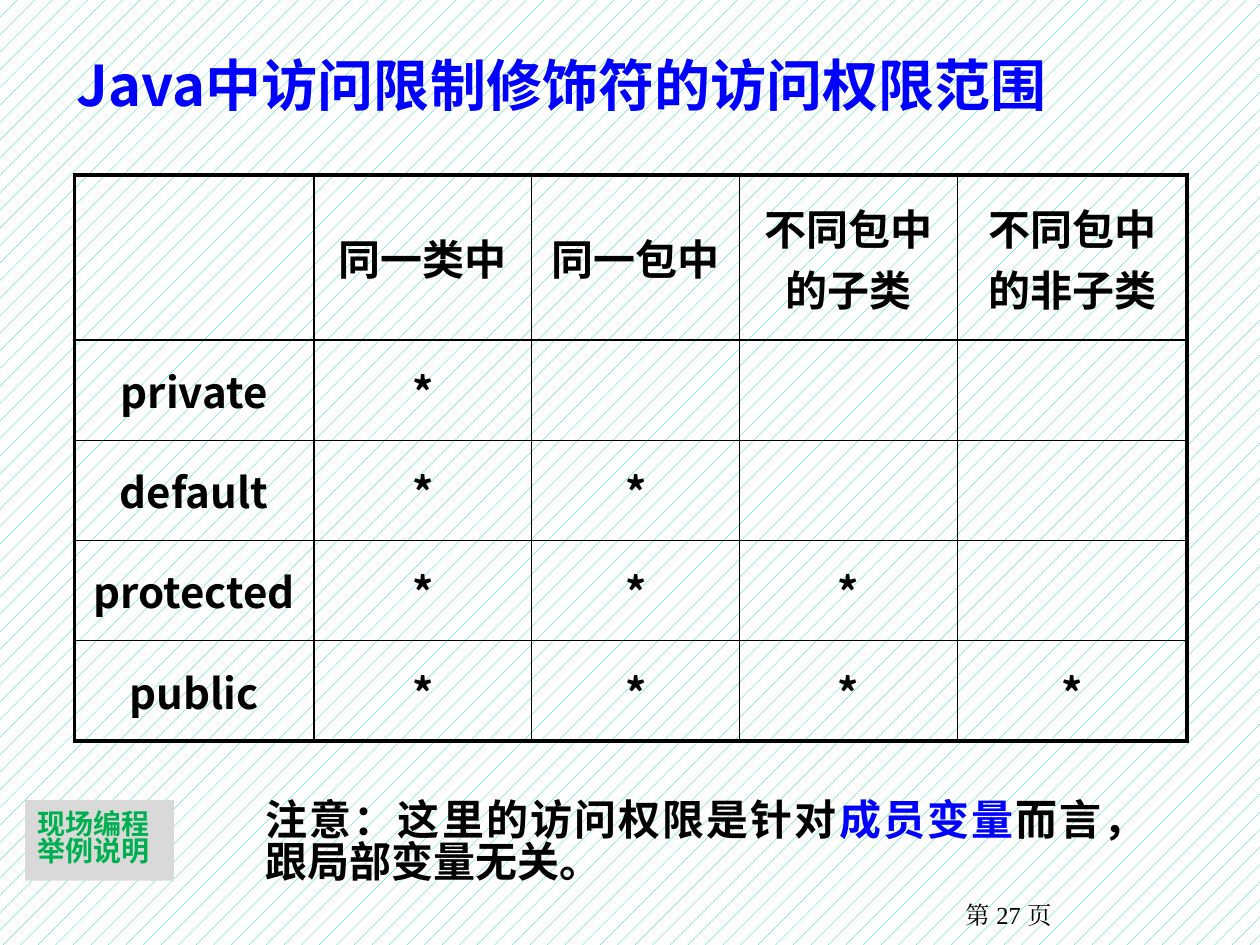
from lxml import etree
from pptx import Presentation, util as u
from pptx.dml.color import RGBColor
from pptx.enum import dml, shapes, text
from pptx.oxml import ns

BLACK = RGBColor(0, 0, 0)
BLUE = RGBColor(0, 0, 255)
GREEN = RGBColor(0x00, 0xB0, 0x50)
GREY = RGBColor(0xD9, 0xD9, 0xD9)
TEAL = RGBColor(0x00, 0xCC, 0x99)
WHITE = RGBColor(255, 255, 255)

SANS = "Noto Sans CJK SC"
SERIF = "Times New Roman"

COLUMN_WIDTHS = (1.9, 1.73, 1.65, 1.73, 1.82)
HEADER_HEIGHT, ROW_HEIGHT = 1.31, 0.795
HEADINGS = ("", "同一类中", "同一包中", "不同包中的子类", "不同包中的非子类")
MODIFIERS = ("private", "default", "protected", "public")
OUTER_LINE, INNER_LINE = 2.25, 1


def inches(*lengths):
    return [u.Inches(length) for length in lengths]


def write_text(frame, paragraphs, size=24, color=BLACK, font=SANS, bold=True,
               align=text.PP_ALIGN.LEFT, spacing=None):
    """Fill a frame with paragraphs, each a list of (text, color or None) runs."""
    frame.word_wrap = True
    frame.vertical_anchor = text.MSO_ANCHOR.MIDDLE
    for index, runs in enumerate(paragraphs):
        paragraph = frame.add_paragraph() if index else frame.paragraphs[0]
        paragraph.alignment = align
        paragraph.line_spacing = spacing
        for words, run_color in runs:
            run = paragraph.add_run()
            run.text = words
            run.font.size = u.Pt(size)
            run.font.bold = bold
            run.font.name = font
            run.font.color.rgb = run_color or color
            east_asian = etree.SubElement(run.font._element, ns.qn("a:ea"))
            east_asian.set("typeface", font)


def add_text_box(slide, box, paragraphs, **text_format):
    shape = slide.shapes.add_textbox(*inches(*box))
    write_text(shape.text_frame, paragraphs, **text_format)


def set_title(slide, box, words, **text_format):
    title = slide.shapes.title
    title.left, title.top, title.width, title.height = inches(*box)
    write_text(title.text_frame, [[(words, None)]], **text_format)


def add_label(slide, box, lines, **text_format):
    label = slide.shapes.add_shape(shapes.MSO_SHAPE.RECTANGLE, *inches(*box))
    label.shadow.inherit = False
    label.fill.solid()
    label.fill.fore_color.rgb = GREY
    label.line.fill.background()
    write_text(label.text_frame, [[(line, None)] for line in lines], **text_format)


def set_borders(cell, widths):
    """Draw the left, right, top and bottom borders, in points."""
    properties = cell._tc.get_or_add_tcPr()
    for index, (side, width) in enumerate(zip("LRTB", widths)):
        line = etree.Element(ns.qn(f"a:ln{side}"), w=str(u.Pt(width)))
        fill = etree.SubElement(line, ns.qn("a:solidFill"))
        etree.SubElement(fill, ns.qn("a:srgbClr"), val=str(BLACK))
        properties.insert(index, line)


def add_access_table(slide, left, top):
    # Each modifier reaches one scope more than the one before it.
    rows = [HEADINGS]
    for reach, modifier in enumerate(MODIFIERS, 1):
        rows.append([modifier] + ["*"] * reach + [""] * (len(MODIFIERS) - reach))
    heights = [HEADER_HEIGHT] + [ROW_HEIGHT] * len(MODIFIERS)
    last_row, last_column = len(rows) - 1, len(HEADINGS) - 1

    table = slide.shapes.add_table(
        len(rows), len(HEADINGS),
        *inches(left, top, sum(COLUMN_WIDTHS), sum(heights))).table
    table.first_row = table.horz_banding = False
    for column, width in zip(table.columns, COLUMN_WIDTHS):
        column.width = u.Inches(width)
    for r, (row, height) in enumerate(zip(rows, heights)):
        table.rows[r].height = u.Inches(height)
        for c, words in enumerate(row):
            cell = table.cell(r, c)
            cell.fill.background()
            on_edge = (c == 0, c == last_column, r == 0, r == last_row)
            set_borders(cell, [OUTER_LINE if edge else INNER_LINE for edge in on_edge])
            cell.vertical_anchor = text.MSO_ANCHOR.MIDDLE
            if words:
                write_text(cell.text_frame, [[(words, None)]],
                           align=text.PP_ALIGN.CENTER)


def main():
    presentation = Presentation()
    presentation.slide_width, presentation.slide_height = inches(10, 7.5)
    slide = presentation.slides.add_slide(presentation.slide_layouts[5])

    background = slide.background.fill
    background.patterned()
    background.pattern = dml.MSO_PATTERN.PERCENT_5
    background.fore_color.rgb = TEAL
    background.back_color.rgb = WHITE

    add_text_box(slide, (6.42, 7.08, 3.17, 0.36), [[("第 27 页", None)]], size=14,
                 font=SERIF, bold=False, align=text.PP_ALIGN.CENTER)
    add_access_table(slide, 0.59, 1.39)
    set_title(slide, (0.51, 0.39, 8.98, 0.64), "Java中访问限制修饰符的访问权限范围",
              size=32, color=BLUE, spacing=0.83)
    add_label(slide, (0.2, 6.35, 1.18, 0.64), ("现场编程", "举例说明"),
              size=16, color=GREEN, spacing=0.8)
    note = [("注意：这里的访问权限是针对", None), ("成员变量", BLUE),
            ("而言，跟局部变量无关。", None)]
    add_text_box(slide, (2.01, 6.24, 6.85, 0.91), [note],
                 align=text.PP_ALIGN.JUSTIFY, spacing=0.83)

    presentation.save("out.pptx")


if __name__ == "__main__":
    main()
